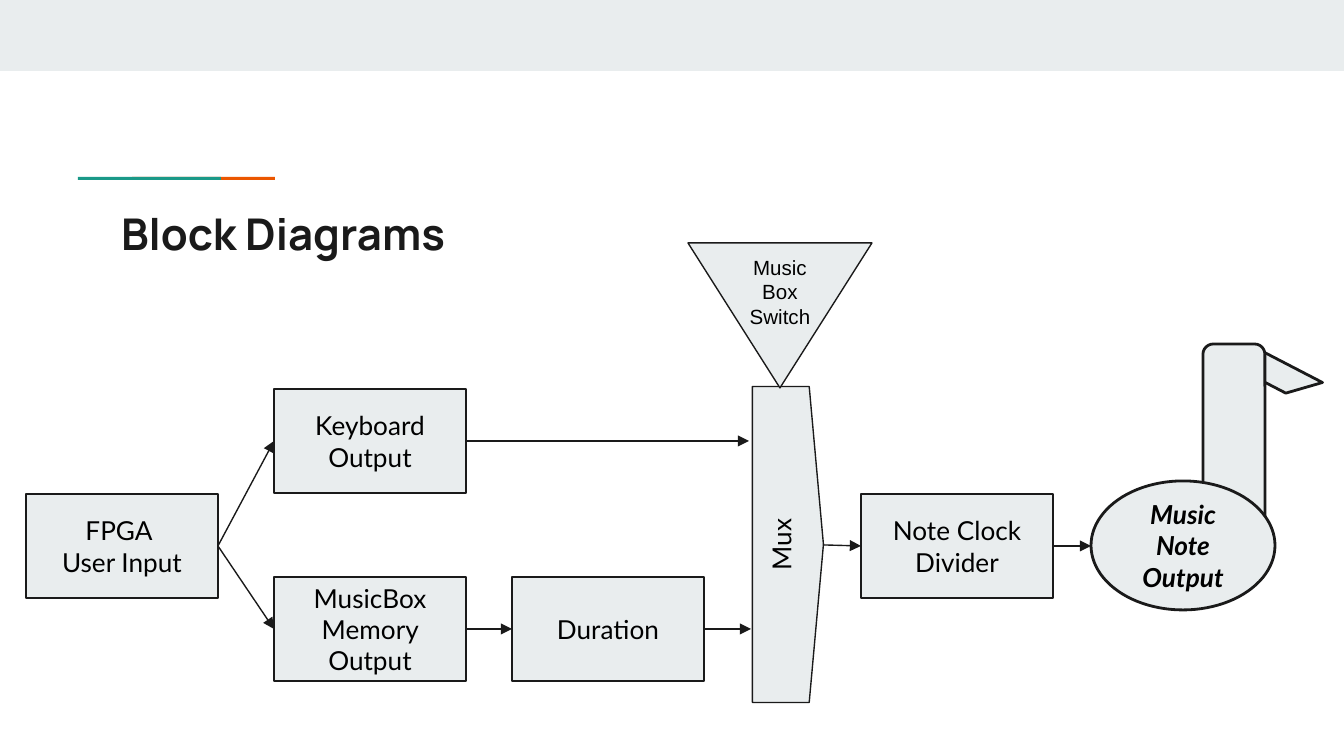
from lxml.etree import SubElement
from pptx import Presentation
from pptx.dml.color import RGBColor
from pptx.enum.shapes import MSO_CONNECTOR, MSO_SHAPE
from pptx.enum.text import MSO_ANCHOR, MSO_AUTO_SIZE, PP_ALIGN
from pptx.oxml.ns import qn
from pptx.util import Pt

PX = 914400 / 134.4
INK = RGBColor(0x1A, 0x1A, 0x1A)
BLACK = RGBColor(0, 0, 0)
PALE = RGBColor(0xE9, 0xED, 0xEE)
TEAL = RGBColor(0x1A, 0x99, 0x88)
ORANGE = RGBColor(0xEB, 0x56, 0x00)

INSET = 13
BOX_W, BOX_H = 192, 104
LEFT, RIGHT = 1, 3

TITLE = "Block Diagrams"
BARS = [
    ((0, 0, 1344, 71), PALE),
    ((132, 177, 143, 3), ORANGE),
    ((78, 177, 143, 3), TEAL),
]
BOXES = {
    "input": (26, 494, "FPGA \nUser Input"),
    "memory": (274, 577, "MusicBox\nMemory Output"),
    "keyboard": (274, 389, "Keyboard Output"),
    "duration": (512, 577, "Duration"),
    "divider": (861, 494, "Note Clock Divider"),
}
MUX = (630, 509, 316, 71)
SWITCH = (688, 243, 184, 145)
NOTE_FLAG = (1226, 359, 83, 79)
NOTE_STEM = (1203, 344, 62, 237)
NOTE_HEAD = (1091, 481, 184, 129)
ARROWS = [
    ("input", "keyboard"),
    ("input", "memory"),
    ("memory", "duration"),
    ("keyboard", (749, 441)),
    ("duration", (751, 629)),
    ((824, 545), "divider"),
    ("divider", (1091, 546)),
]


def emu(*lengths):
    return [round(length * PX) for length in lengths]


def write(shape, text, size=14, font="Lato", color=BLACK, bold=False, italic=False,
          align=PP_ALIGN.CENTER, anchor=MSO_ANCHOR.MIDDLE, top=INSET):
    frame = shape.text_frame
    frame.word_wrap = True
    frame.auto_size = MSO_AUTO_SIZE.NONE
    frame.vertical_anchor = anchor
    frame.margin_left, frame.margin_top, frame.margin_right, frame.margin_bottom = emu(
        INSET, top, INSET, INSET)
    frame.text = text
    for paragraph in frame.paragraphs:
        paragraph.alignment = align
        for run in paragraph.runs:
            run.font.size = Pt(size)
            run.font.name = font
            run.font.bold = bold
            run.font.italic = italic
            run.font.color.rgb = color


def draw(slide, kind, place, fill=PALE, line=0.75, rotation=0):
    shape = slide.shapes.add_shape(kind, *emu(*place))
    shape.shadow.inherit = False
    shape.rotation = rotation
    shape.fill.solid()
    shape.fill.fore_color.rgb = fill
    if line:
        shape.line.color.rgb = INK
        shape.line.width = Pt(line)
    else:
        shape.line.fill.background()
    return shape


def side_middle(box, side):
    x, y, _ = BOXES[box]
    return x + (BOX_W if side == RIGHT else 0), y + BOX_H // 2


def connect(slide, boxes, start, end):
    start_point = side_middle(start, RIGHT) if start in boxes else start
    end_point = side_middle(end, LEFT) if end in boxes else end
    arrow = slide.shapes.add_connector(MSO_CONNECTOR.STRAIGHT, *emu(*start_point, *end_point))
    if start in boxes:
        arrow.begin_connect(boxes[start], RIGHT)
    if end in boxes:
        arrow.end_connect(boxes[end], LEFT)
    arrow.line.color.rgb = INK
    arrow.line.width = Pt(0.75)
    SubElement(arrow.line._get_or_add_ln(), qn("a:tailEnd"), type="triangle", w="med", len="med")
    SubElement(arrow._element.spPr, qn("a:effectLst"))


def main():
    deck = Presentation()
    deck.slide_width, deck.slide_height = emu(1344, 756)
    slide = deck.slides.add_slide(deck.slide_layouts[5])

    title = slide.shapes.title
    title.left, title.top, title.width, title.height = emu(108, 194, 1130, 79)
    write(title, TITLE, size=23.4, font="Manrope", color=INK, bold=True,
          align=PP_ALIGN.LEFT, anchor=MSO_ANCHOR.TOP)

    for place, color in BARS:
        draw(slide, MSO_SHAPE.RECTANGLE, place, fill=color, line=0)

    boxes = {}
    for key, (x, y, label) in BOXES.items():
        boxes[key] = draw(slide, MSO_SHAPE.RECTANGLE, (x, y, BOX_W, BOX_H))
        write(boxes[key], label)

    mux = draw(slide, MSO_SHAPE.FLOWCHART_OFFPAGE_CONNECTOR, MUX, rotation=270)
    write(mux, "Mux")
    switch = draw(slide, MSO_SHAPE.FLOWCHART_MERGE, SWITCH)
    write(switch, "Music\vBox Switch", size=11, font="Arial", top=38)

    draw(slide, MSO_SHAPE.HALF_FRAME, NOTE_FLAG, line=1.5, rotation=27.4)
    draw(slide, MSO_SHAPE.ROUNDED_RECTANGLE, NOTE_STEM, line=1.5)
    note = draw(slide, MSO_SHAPE.OVAL, NOTE_HEAD, line=1.5)
    write(note, "Music Note Output", bold=True, italic=True)

    for start, end in ARROWS:
        connect(slide, boxes, start, end)

    deck.save("out.pptx")


if __name__ == "__main__":
    main()
